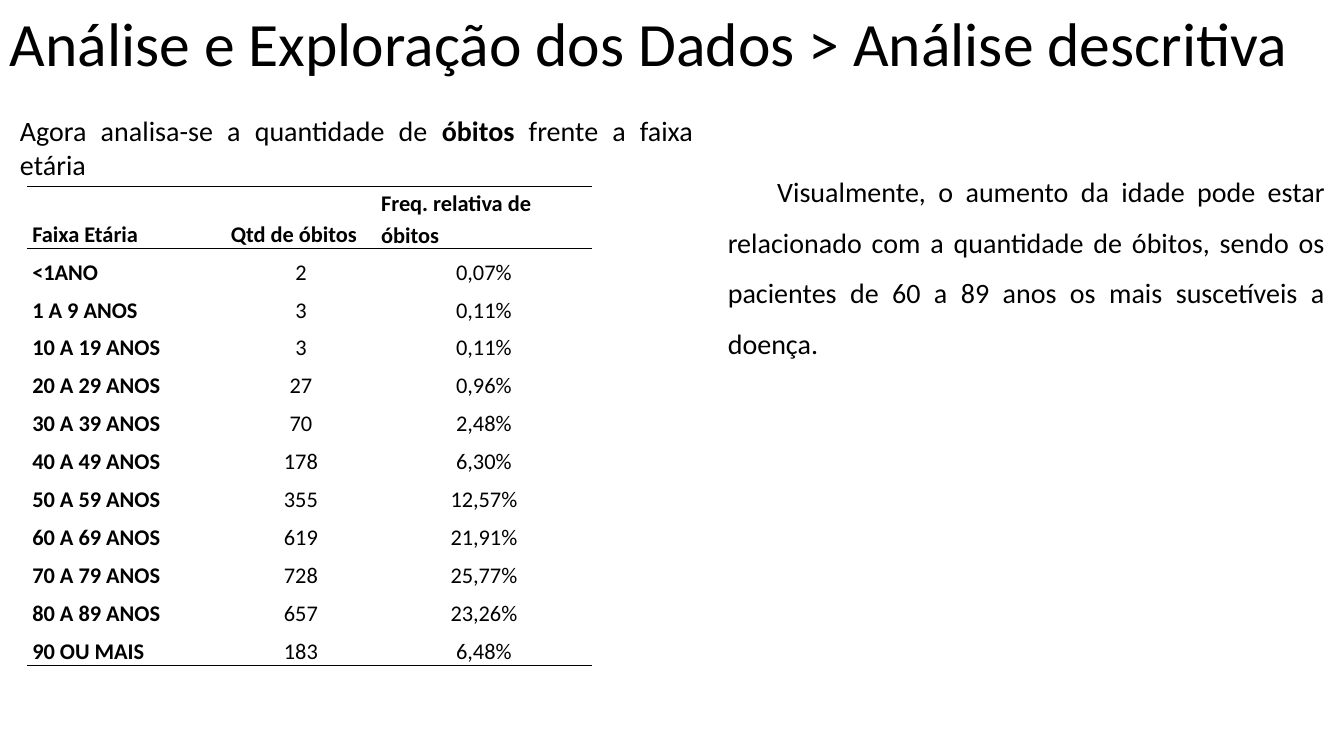
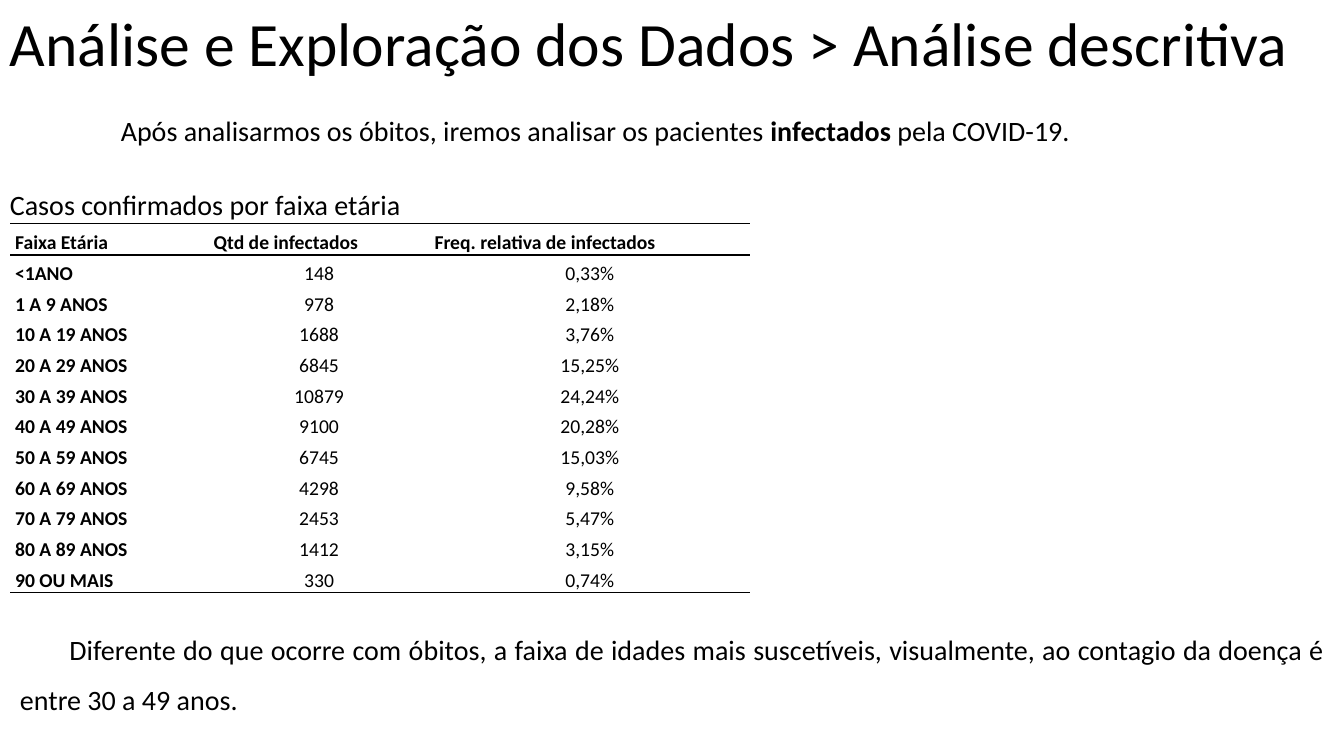
"""Build two slides describing deaths and infections by age group."""
from lxml.etree import SubElement
from pptx import Presentation
from pptx.dml.color import RGBColor
from pptx.enum.text import MSO_ANCHOR, PP_ALIGN
from pptx.oxml.ns import qn
from pptx.util import Inches, Pt

BLACK = RGBColor(0x00, 0x00, 0x00)
FONT = "Calibri"
PLAIN_TABLE_STYLE = "{2D5ABB26-0587-4C30-8999-92F81FD0307C}"
TITLE = "Análise e Exploração dos Dados > Análise descritiva"
AGE_GROUPS = ["<1ANO", *(f"{max(start, 1)} A {start + 9} ANOS" for start in range(0, 90, 10)), "90 OU MAIS"]
DEATHS = [2, 3, 3, 27, 70, 178, 355, 619, 728, 657, 183]
DEATH_SHARES = ["0,07%", "0,11%", "0,11%", "0,96%", "2,48%", "6,30%",
                "12,57%", "21,91%", "25,77%", "23,26%", "6,48%"]
INFECTIONS = [148, 978, 1688, 6845, 10879, 9100, 6745, 4298, 2453, 1412, 330]
INFECTION_SHARES = ["0,33%", "2,18%", "3,76%", "15,25%", "24,24%", "20,28%",
                    "15,03%", "9,58%", "5,47%", "3,15%", "0,74%"]
CELL_FORMAT = {"vertical_anchor": MSO_ANCHOR.BOTTOM,
               "margin_left": Inches(0.05), "margin_right": Inches(0.05),
               "margin_top": 0, "margin_bottom": 0}
SPACED = {"line_spacing": 1.15, "space_after": Pt(10)}
JUSTIFIED = {"alignment": PP_ALIGN.JUSTIFY}
CAPTION = {**JUSTIFIED, **SPACED}
COMMENT = {**CAPTION, "line_spacing": 1.5}


def apply(target, values):
    for name, value in values.items():
        setattr(target, name, value)


class Deck:
    def __init__(self):
        self.presentation = Presentation()
        self.presentation.slide_width = Inches(13.33)
        self.presentation.slide_height = Inches(7.5)
        self.slide = None

    def add_slide(self):
        self.slide = self.presentation.slides.add_slide(self.presentation.slide_layouts[6])
        self.text((0, 0, 13.33, 0.84), [(TITLE, False)], size=44)

    def fill_paragraph(self, paragraph, runs, size, layout):
        apply(paragraph, layout)
        for words, bold in runs:
            run = paragraph.add_run()
            run.text = words
            apply(run.font, {"name": FONT, "size": Pt(size), "bold": bold})
            run.font.color.rgb = BLACK

    def text(self, place, runs, layout=None, indent=0, size=20):
        frame = self.slide.shapes.add_textbox(*map(Inches, place)).text_frame
        frame.word_wrap = True
        paragraph = frame.paragraphs[0]
        self.fill_paragraph(paragraph, runs, size, layout or {})
        if indent:
            paragraph._p.get_or_add_pPr().set("indent", str(Inches(indent)))

    def rule(self, cell, side):
        line = SubElement(cell._tc.get_or_add_tcPr(), qn(f"a:{side}"), w=str(Pt(1)))
        SubElement(SubElement(line, qn("a:solidFill")), qn("a:srgbClr"), val=str(BLACK))

    def age_table(self, place, widths, header_height, headers, counts, shares, size):
        records = [headers, *zip(AGE_GROUPS, counts, shares)]
        last = len(records) - 1
        table = self.slide.shapes.add_table(len(records), len(headers), *map(Inches, place)).table
        apply(table, {"first_row": False, "horz_banding": False})
        table._tbl.tblPr.find(qn("a:tableStyleId")).text = PLAIN_TABLE_STYLE
        for column, width in zip(table.columns, widths):
            column.width = Inches(width)
        body_height = (place[3] - header_height) / last
        for r, record in enumerate(records):
            table.rows[r].height = Inches(body_height if r else header_height)
            for c, value in enumerate(record):
                cell = table.cell(r, c)
                apply(cell, CELL_FORMAT)
                if r == 0:
                    self.rule(cell, "lnT")
                if r in (0, last):
                    self.rule(cell, "lnB")
                cell.fill.background()
                label = r == 0 or c == 0
                alignment = PP_ALIGN.LEFT if label else PP_ALIGN.CENTER
                self.fill_paragraph(cell.text_frame.paragraphs[0], [(str(value), label)], size,
                                    {**SPACED, "alignment": alignment})


def main():
    deck = Deck()

    deck.add_slide()
    deck.text((0.1, 1.08, 6.87, 0.77),
              [("Agora analisa-se a quantidade de ", False), ("óbitos ", True),
               ("frente a faixa etária", False)], JUSTIFIED)
    deck.age_table((0.27, 1.85, 5.6, 4.66), (1.97, 1.49, 2.14), 0.52,
                   ("Faixa Etária", "Qtd de óbitos", "Freq. relativa de óbitos"),
                   DEATHS, DEATH_SHARES, size=16)
    deck.text((7.12, 1.52, 6.12, 2.07),
              [("Visualmente, o aumento da idade pode estar relacionado com a quantidade de óbitos, "
                "sendo os pacientes de 60 a 89 anos os mais suscetíveis a doença.", False)],
              COMMENT, indent=0.49)

    deck.add_slide()
    deck.text((0.1, 1.08, 13.24, 0.44),
              [("Após analisarmos os óbitos, iremos analisar os pacientes ", False),
               ("infectados", True), (" pela COVID-19.", False)], JUSTIFIED, indent=1)
    deck.text((0, 1.76, 6.8, 0.47), [("Casos confirmados por faixa etária", False)], CAPTION)
    deck.age_table((0.1, 2.22, 7.34, 3.66), (1.97, 2.19, 3.18), 0.31,
                   ("Faixa Etária", "Qtd de infectados", "Freq. relativa de infectados"),
                   INFECTIONS, INFECTION_SHARES, size=14)
    deck.text((0.1, 6.06, 13.13, 1.06),
              [("Diferente do que ocorre com óbitos, a faixa de idades mais suscetíveis, visualmente, "
                "ao contagio da doença é entre 30 a 49 anos.", False)], COMMENT, indent=0.49)

    deck.presentation.save("out.pptx")


if __name__ == "__main__":
    main()
